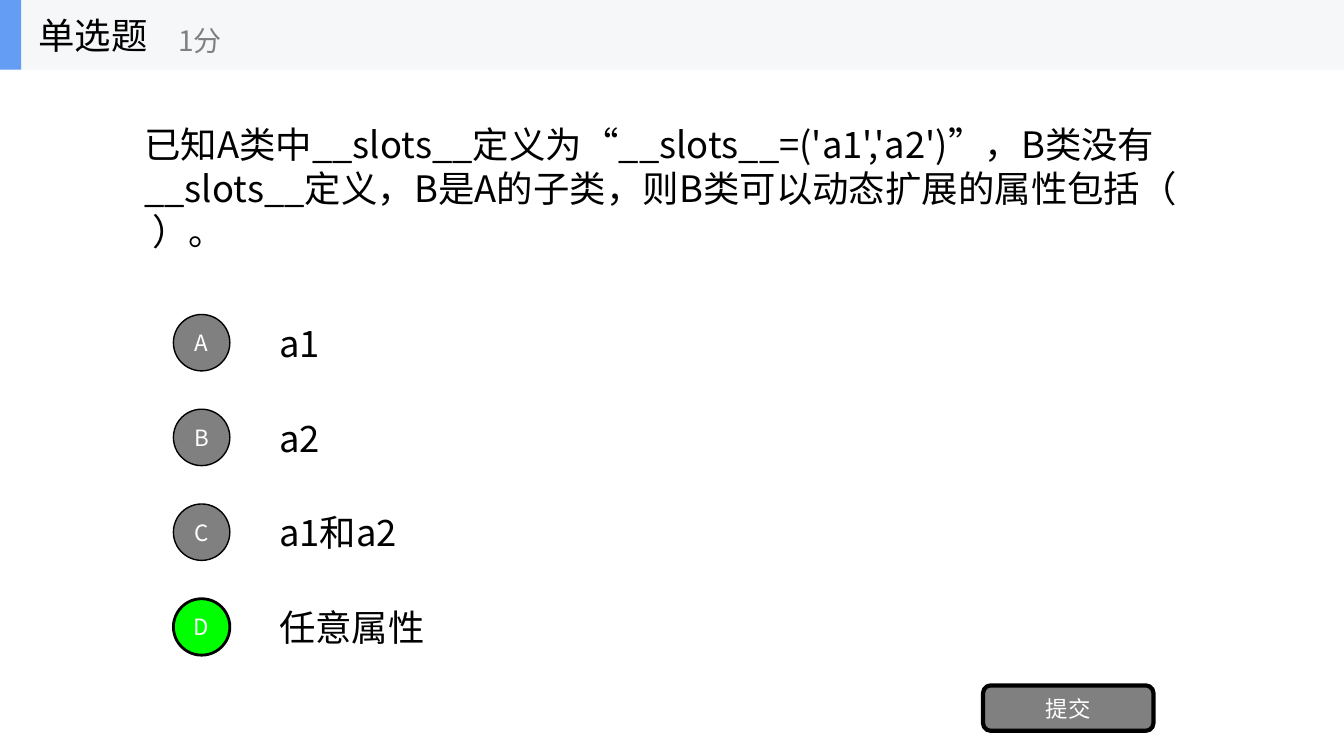
from lxml import etree
from pptx import Presentation
from pptx.dml.color import RGBColor
from pptx.enum.shapes import MSO_SHAPE
from pptx.enum.text import MSO_ANCHOR, MSO_AUTO_SIZE, PP_ALIGN
from pptx.oxml.ns import qn
from pptx.util import Inches, Pt

OVAL = MSO_SHAPE.OVAL
RECT = MSO_SHAPE.RECTANGLE
ROUND = MSO_SHAPE.ROUNDED_RECTANGLE
MIDDLE = MSO_ANCHOR.MIDDLE
FIXED = MSO_AUTO_SIZE.NONE
LEFT = PP_ALIGN.LEFT
CENTER = PP_ALIGN.CENTER

BLACK = "000000"
WHITE = "FFFFFF"
GRAY = "808080"
GREEN = "00FF00"
BLUE = "639EF4"
PALE = "F6F7F8"


def color(code):
    return RGBColor.from_string(code)


class Quiz:
    face = "Noto Sans CJK SC"

    def __init__(self, slide):
        self.slide = slide

    def fill_text(self, shape, text, size, ink, align=LEFT):
        frame = shape.text_frame
        frame.text = text
        frame.word_wrap = True
        frame.auto_size = FIXED
        frame.vertical_anchor = MIDDLE
        para = frame.paragraphs[0]
        para.alignment = align
        para.space_before = Pt(0)
        font = para.font
        font.name = self.face
        font.size = Pt(size)
        font.color.rgb = color(ink)
        props = para._p.get_or_add_pPr()
        base = props.find(qn("a:defRPr"))
        etree.SubElement(base, qn("a:ea")).set("typeface", self.face)
        return props, base

    def label(self, box, text, size=26, ink=BLACK):
        shape = self.slide.shapes.add_textbox(*map(Inches, box))
        self.fill_text(shape, text, size, ink)

    def holder(self, shape, box, text):
        shape.left, shape.top, shape.width, shape.height = map(Inches, box)
        props, base = self.fill_text(shape, text, 26, BLACK)
        props.set("marL", "0")
        props.set("indent", "0")
        base.addprevious(etree.Element(qn("a:buNone")))
        self.slide.shapes._spTree.append(shape._element)

    def shape(self, kind, box, fill, line=0, text=""):
        shape = self.slide.shapes.add_shape(kind, *map(Inches, box))
        shape.shadow.inherit = False
        shape.fill.solid()
        shape.fill.fore_color.rgb = color(fill)
        if line:
            shape.line.color.rgb = color(BLACK)
            shape.line.width = Pt(line)
        else:
            shape.line.fill.background()
        if text:
            self.fill_text(shape, text, 16, WHITE, CENTER)


def main():
    deck = Presentation()
    deck.slide_width = Inches(13.33)
    deck.slide_height = Inches(7.5)
    slide = deck.slides.add_slide(deck.slide_layouts[1])
    quiz = Quiz(slide)

    quiz.shape(RECT, (0, 0, 13.33, 0.69), PALE)
    quiz.shape(RECT, (0, 0, 0.21, 0.69), BLUE)
    quiz.holder(slide.shapes.title, (0.28, 0, 2.08, 0.69), "单选题")
    quiz.label((1.67, 0.12, 2.5, 0.56), "1分", 20, GRAY)

    quiz.holder(
        slide.placeholders[1],
        (1.33, 0.69, 10.67, 2.34),
        "已知A类中__slots__定义为“__slots__=('a1','a2')”，"
        "B类没有__slots__定义，B是A的子类，"
        "则B类可以动态扩展的属性包括（    ）。",
    )

    right = "D"
    for row, (mark, text) in enumerate(zip("ABCD", ("a1", "a2", "a1和a2", "任意属性"))):
        top = 3.05 + row * 0.94
        fill, line = (GREEN, 2) if mark == right else (GRAY, 1)
        quiz.label((2.67, top, 9.33, 0.7), text)
        quiz.shape(OVAL, (1.72, top + 0.07, 0.56, 0.56), fill, line, mark)

    quiz.shape(ROUND, (9.75, 6.8, 1.69, 0.45), GRAY, 3, "提交")
    deck.save("out.pptx")


if __name__ == "__main__":
    main()
